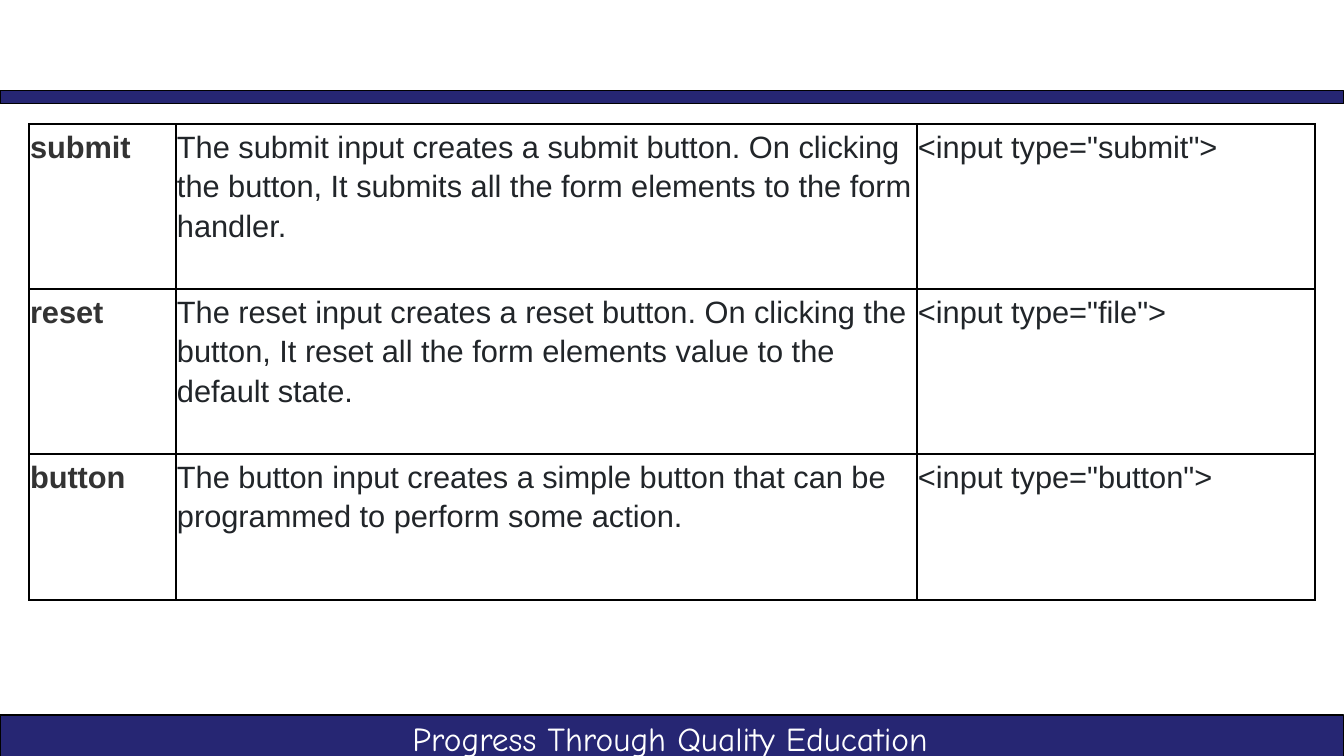
from lxml.etree import SubElement
from pptx import Presentation
from pptx.dml.color import RGBColor
from pptx.enum.shapes import MSO_SHAPE as Shape
from pptx.enum.text import PP_ALIGN as Align
from pptx.oxml.ns import qn
from pptx.util import Pt

COLORS = {"navy": "262673", "black": "000000", "white": "FFFFFF",
          "label": "333333", "body": "212529"}
SLIDE_SIZE = (1344, 756)
COLUMN_WIDTHS = (147, 741, 398)
ROW_HEIGHTS = (165, 165, 146)
INPUT_TYPES = (
    ("submit",
     "The submit input creates a submit button. On clicking the button, "
     "It submits all the form elements to the form handler.",
     '<input type="submit">'),
    ("reset",
     "The reset input creates a reset button. On clicking the button, "
     "It reset all the form elements value to the default state.",
     '<input type="file">'),
    ("button",
     "The button input creates a simple button that can be programmed "
     "to perform some action.",
     '<input type="button">'),
)


def px(length):
    return round(length * 914400 / 100.8)


def color(name):
    return RGBColor.from_string(COLORS[name])


def set_font(paragraph, name, size, shade, bold=False):
    font = paragraph.font
    font.name, font.size, font.bold = name, Pt(size), bold
    font.color.rgb = color(shade)


def add_bar(page, box):
    bar = page.shapes.add_shape(Shape.RECTANGLE, *map(px, box))
    bar.shadow.inherit = False
    bar.fill.solid()
    bar.fill.fore_color.rgb = color("navy")
    bar.line.color.rgb = color("black")
    bar.line.width = Pt(0.75)


def add_footer(page, box):
    left, top, width, height = box
    add_bar(page, box)
    motto_width = 638
    motto_box = (left + (width - motto_width) // 2 - 2, top - 2,
                 motto_width, height + 7)
    frame = page.shapes.add_textbox(*map(px, motto_box)).text_frame
    frame.word_wrap = True
    para = frame.paragraphs[0]
    para.text = "Progress Through Quality Education"
    para.alignment = Align.CENTER
    set_font(para, "Comic Neue", 23.9, "white")


def add_borders(cell):
    properties = cell._tc.get_or_add_tcPr()
    for position, side in enumerate(("lnL", "lnR", "lnT", "lnB")):
        line = SubElement(properties, qn(f"a:{side}"), w=str(Pt(1)))
        fill = SubElement(line, qn("a:solidFill"))
        SubElement(fill, qn("a:srgbClr"), val=COLORS["black"])
        properties.insert(position, line)


def fill_cell(cell, text, is_label):
    cell.fill.solid()
    cell.fill.fore_color.rgb = color("white")
    cell.margin_left = cell.margin_right = px(1)
    cell.margin_top = cell.margin_bottom = px(1)
    add_borders(cell)
    para = cell.text_frame.paragraphs[0]
    para.text = text
    para.line_spacing = 1.15
    para.space_after = Pt(12)
    set_font(para, "Arial", 22, "label" if is_label else "body", is_label)


def add_input_table(page, box):
    table = page.shapes.add_table(
        len(ROW_HEIGHTS), len(COLUMN_WIDTHS), *map(px, box)).table
    table.first_row = table.horz_banding = False
    for column, width in zip(table.columns, COLUMN_WIDTHS):
        column.width = px(width)
    for row, height, texts in zip(table.rows, ROW_HEIGHTS, INPUT_TYPES):
        row.height = px(height)
        for index, (cell, text) in enumerate(zip(row.cells, texts)):
            fill_cell(cell, text, index == 0)


def main():
    deck = Presentation()
    deck.slide_width, deck.slide_height = map(px, SLIDE_SIZE)
    page = deck.slides.add_slide(deck.slide_layouts[6])
    width = SLIDE_SIZE[0]
    add_footer(page, (0, 715, width, 46))
    add_bar(page, (0, 91, width, 13))
    add_input_table(page, (29, 124, sum(COLUMN_WIDTHS), sum(ROW_HEIGHTS)))
    deck.save("out.pptx")


if __name__ == "__main__":
    main()
